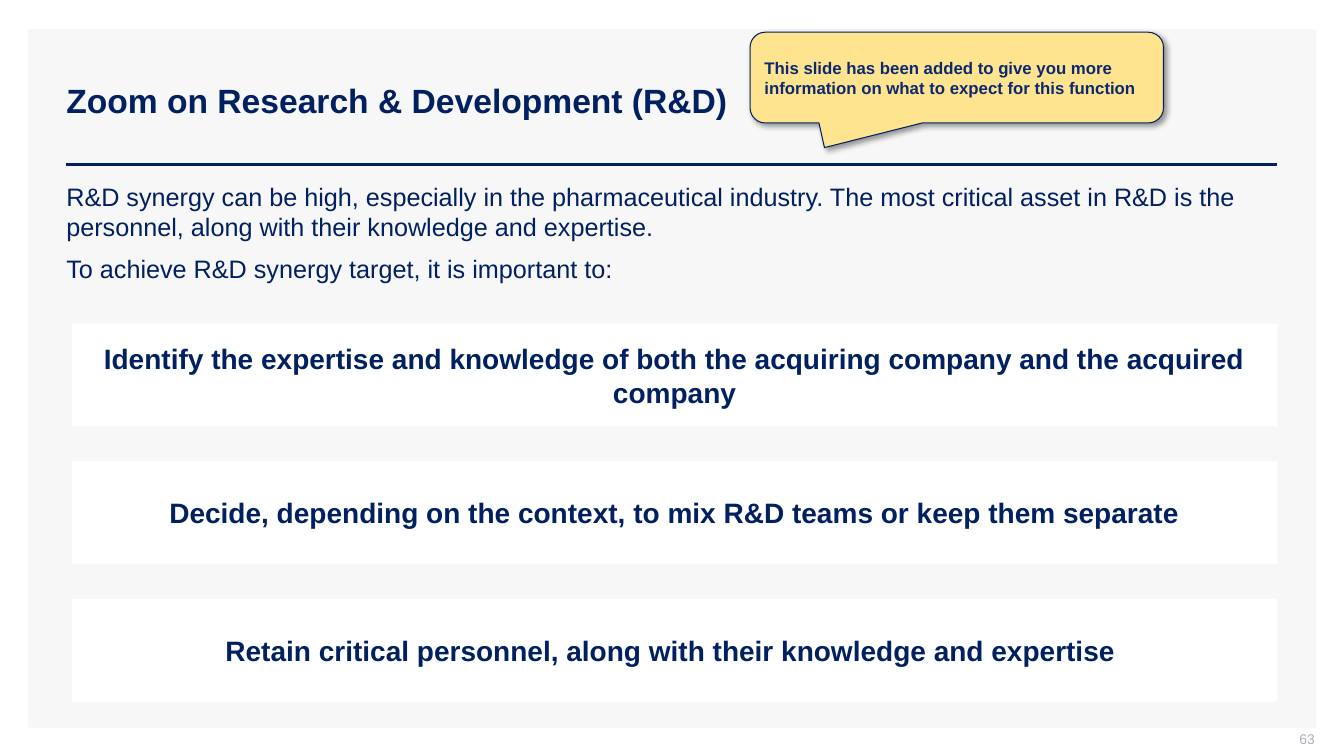
from dataclasses import dataclass

from lxml.etree import SubElement
from pptx import Presentation
from pptx.dml.color import RGBColor
from pptx.enum.shapes import MSO_CONNECTOR, MSO_SHAPE
from pptx.enum.text import MSO_ANCHOR, PP_ALIGN
from pptx.oxml.ns import qn
from pptx.shapes.autoshape import Shape
from pptx.slide import Slide
from pptx.util import Emu, Inches, Pt

SLIDE_W, SLIDE_H = Inches(13.33), Inches(7.5)


@dataclass(frozen=True)
class Theme:
    font: str = "Arial"
    navy: str = "002060"
    note_text: str = "0C2870"
    note_fill: str = "FFE48F"
    panel: str = "F7F7F7"
    card: str = "FFFFFF"
    grey: str = "ADAFBB"
    title_pt: int = 24
    card_pt: int = 20
    body_pt: int = 18
    note_pt: int = 12
    number_pt: int = 10


@dataclass(frozen=True)
class Area:
    """Position and size as percentages of the slide's width and height."""
    left: float
    top: float
    width: float
    height: float

    def emu(self) -> tuple[Emu, Emu, Emu, Emu]:
        return (across(self.left), down(self.top),
                across(self.width), down(self.height))


@dataclass(frozen=True)
class TextStyle:
    size: int
    color: str
    bold: bool = False
    align: PP_ALIGN = PP_ALIGN.LEFT
    anchor: MSO_ANCHOR = MSO_ANCHOR.MIDDLE
    gap: int = 0
    insets: tuple[float, float, float, float] = (0.1, 0.05, 0.1, 0.05)


THEME = Theme()
TITLE = TextStyle(THEME.title_pt, THEME.navy, bold=True)
BODY = TextStyle(THEME.body_pt, THEME.navy, anchor=MSO_ANCHOR.TOP, gap=4)
CARD = TextStyle(THEME.card_pt, THEME.navy, bold=True, align=PP_ALIGN.CENTER)
NOTE = TextStyle(THEME.note_pt, THEME.note_text, bold=True, gap=6)
NUMBER = TextStyle(THEME.number_pt, THEME.grey, align=PP_ALIGN.RIGHT,
                   insets=(0.1, 0, 0, 0.05))

INTRO = [
    "R&D synergy can be high, especially in the pharmaceutical industry. "
    "The most critical asset in R&D is the personnel, along with their "
    "knowledge and expertise.",
    "To achieve R&D synergy target, it is important to:",
]
ACTIONS = [
    "Identify the expertise and knowledge of both the acquiring company "
    "and the acquired company",
    "Decide, depending on the context, to mix R&D teams or keep them separate",
    "Retain critical personnel, along with their knowledge and expertise ",
]
CARD_TOP, CARD_PITCH = 42.8, 18.2


def across(share: float) -> Emu:
    return Emu(round(SLIDE_W * share / 100))


def down(share: float) -> Emu:
    return Emu(round(SLIDE_H * share / 100))


def write(s: Shape, lines: list[str], style: TextStyle) -> None:
    tf = s.text_frame
    tf.word_wrap = True
    tf.vertical_anchor = style.anchor
    (tf.margin_left, tf.margin_top,
     tf.margin_right, tf.margin_bottom) = map(Inches, style.insets)
    tf.text = "\n".join(lines)
    for i, p in enumerate(tf.paragraphs):
        p.alignment = style.align
        p.space_before = Pt(style.gap if i else 0)
        p.space_after = Pt(style.gap)
        for r in p.runs:
            r.font.name = THEME.font
            r.font.size = Pt(style.size)
            r.font.bold = style.bold
            r.font.color.rgb = RGBColor.from_string(style.color)


def add_text(slide: Slide, area: Area, lines: list[str], style: TextStyle) -> None:
    write(slide.shapes.add_textbox(*area.emu()), lines, style)


def add_block(slide: Slide, area: Area, fill: str,
              kind: MSO_SHAPE = MSO_SHAPE.RECTANGLE) -> Shape:
    s = slide.shapes.add_shape(kind, *area.emu())
    s.shadow.inherit = False
    s.fill.solid()
    s.fill.fore_color.rgb = RGBColor.from_string(fill)
    s.line.fill.background()
    return s


def add_rule(slide: Slide, left: float, right: float, top: float) -> None:
    rule = slide.shapes.add_connector(
        MSO_CONNECTOR.STRAIGHT, across(left), down(top), across(right), down(top))
    rule.line.color.rgb = RGBColor.from_string(THEME.navy)
    rule.line.width = Pt(2)
    SubElement(rule._element.spPr, qn("a:effectLst"))


def cast_shadow(s: Shape) -> None:
    effects = s._element.spPr.find(qn("a:effectLst"))
    shadow = SubElement(effects, qn("a:outerShdw"), blurRad=str(Pt(4)),
                        dist=str(Pt(3)), dir=str(45 * 60000),
                        algn="tl", rotWithShape="0")
    color = SubElement(shadow, qn("a:srgbClr"), val="000000")
    SubElement(color, qn("a:alpha"), val="40000")


def add_callout(slide: Slide, area: Area, text: str) -> None:
    s = add_block(slide, area, THEME.note_fill, MSO_SHAPE.ROUNDED_RECTANGULAR_CALLOUT)
    for i, value in enumerate((-0.32, 0.772, 0.167)):
        s.adjustments[i] = value
    s.line.color.rgb = RGBColor.from_string(THEME.navy)
    s.line.width = Pt(0.75)
    cast_shadow(s)
    write(s, [text], NOTE)


def main() -> None:
    prs = Presentation()
    prs.slide_width, prs.slide_height = SLIDE_W, SLIDE_H
    slide = prs.slides.add_slide(prs.slide_layouts[6])

    add_block(slide, Area(2.1, 3.87, 95.87, 92.4), THEME.panel)
    add_rule(slide, 4.95, 95.05, 21.73)
    add_text(slide, Area(4.2, 5.33, 90.85, 15.87),
             ["Zoom on Research & Development (R&D)"], TITLE)
    add_text(slide, Area(75.32, 96.67, 22.51, 2.8), ["63"], NUMBER)
    add_text(slide, Area(4.2, 23.33, 90.85, 14.93), INTRO, BODY)
    for i, action in enumerate(ACTIONS):
        area = Area(5.33, CARD_TOP + i * CARD_PITCH, 89.72, 13.6)
        write(add_block(slide, area, THEME.card), [action], CARD)
    add_callout(slide, Area(55.81, 4.27, 30.76, 12),
                "This slide has been added to give you more information "
                "on what to expect for this function")
    prs.save("out.pptx")


if __name__ == "__main__":
    main()
